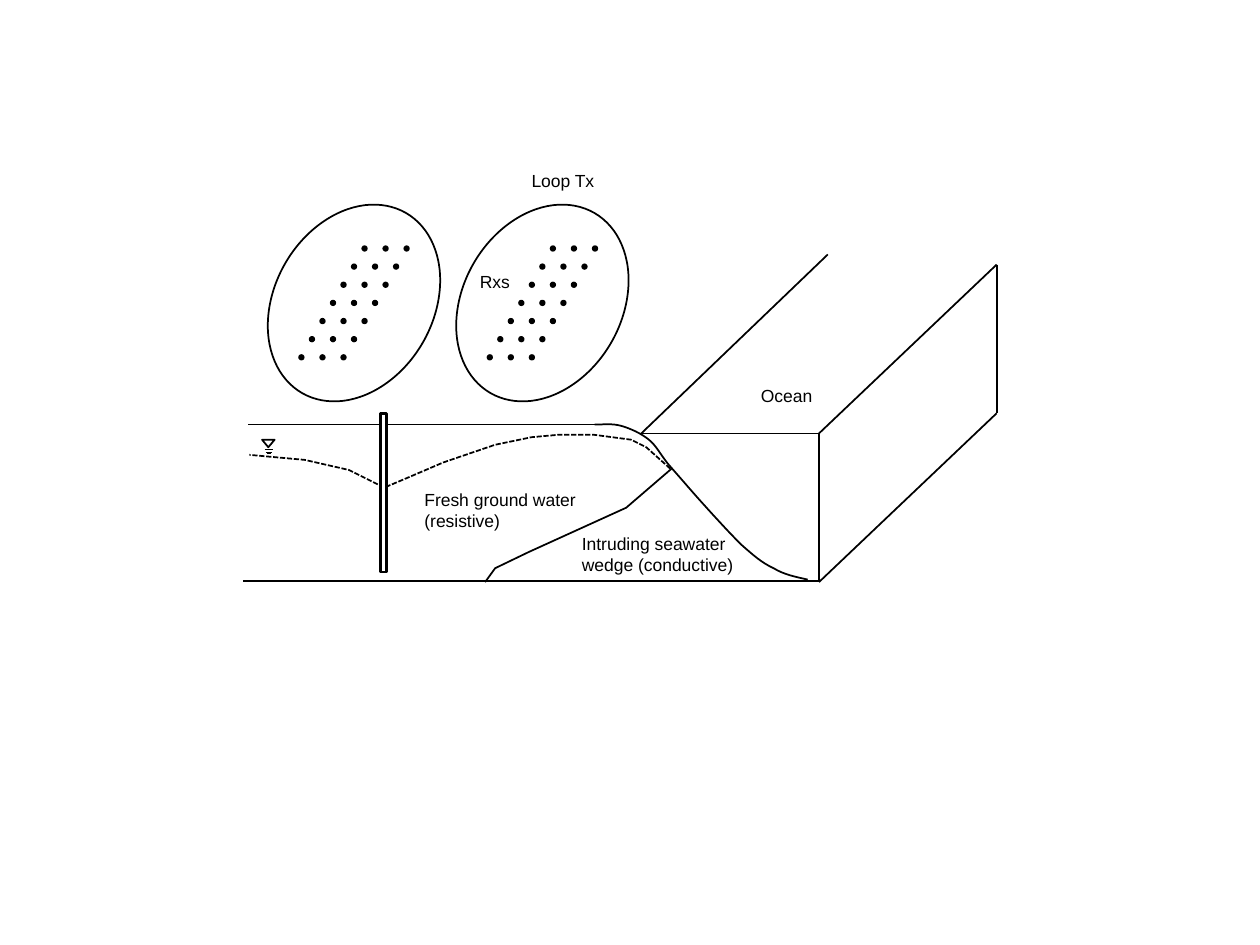
from dataclasses import dataclass

from lxml.etree import SubElement
from pptx import Presentation
from pptx.dml.color import RGBColor
from pptx.enum.dml import MSO_LINE_DASH_STYLE as Dash
from pptx.enum.shapes import MSO_CONNECTOR as Connector, MSO_SHAPE as Preset
from pptx.enum.text import MSO_AUTO_SIZE as AutoSize, PP_ALIGN as Align
from pptx.oxml.ns import qn
from pptx.util import Inches, Pt

BLACK = RGBColor(0, 0, 0)
WHITE = RGBColor(255, 255, 255)
COLUMNS, ROWS = 100, 75
CELL = Inches(0.1)

Point = tuple[float, float]


@dataclass(frozen=True)
class Edge:
    start: Point
    end: Point
    weight: float = 1


@dataclass(frozen=True)
class Outline:
    preset: Preset
    left: float
    top: float
    width: float
    height: float
    rotation: float = 0
    fill: RGBColor | None = None
    weight: float = 1


@dataclass(frozen=True)
class Label:
    left: float
    top: float
    width: float
    height: float
    lines: tuple[str, ...]


OCEAN_EDGES = (
    Edge((65, 34.4), (79.1, 21)),
    Edge((65, 46.2), (79.1, 32.8)),
    Edge((65, 34.4), (50.8, 34.4)),
    Edge((65, 46.1), (19.3, 46.1)),
    Edge((50.9, 34.4), (65.7, 20.2)),
    Edge((65, 34.4), (65, 46.1)),
    Edge((79.1, 21), (79.1, 32.8)),
)
LAND_SURFACE = Edge((47.2, 33.7), (19.7, 33.7))
WATER_TABLE_TICKS = (
    Edge((21, 35.7), (21.7, 35.7), 0.75),
    Edge((21.1, 35.9), (21.6, 35.9), 0.75),
    Edge((21.2, 36), (21.5, 36), 0.75),
)
WATER_TABLE_MARK = Outline(Preset.FLOWCHART_MERGE, 20.8, 34.9, 1, 0.6)
WELL = Outline(Preset.RECTANGLE, 30.2, 32.8, 0.5, 12.6, fill=WHITE, weight=1.5)

SEABED_START = (64.1, 46)
SEABED_BENDS = (
    ((63.2, 45.8), (62.2, 45.6), (61.4, 45.1)),
    ((60.5, 44.7), (59.7, 44), (58.8, 43.2)),
    ((57.9, 42.3), (56.8, 41.1), (55.9, 40.1)),
    ((54.9, 39), (53.8, 37.7), (53, 36.8)),
    ((52.3, 35.9), (52.1, 35.4), (51.5, 34.9)),
    ((50.9, 34.4), (50, 34), (49.3, 33.8)),
    ((48.6, 33.6), (47.9, 33.7), (47.2, 33.7)),
)
WEDGE_FRONT = [(53.3, 37.2), (49.7, 40.3), (42, 43.8), (39.3, 45.1), (38.5, 46.2)]
WATER_TABLE = [
    (53.2, 37.2), (51.3, 35.5), (50.1, 34.9), (47.1, 34.5), (44.4, 34.5),
    (42.2, 34.7), (39.3, 35.3), (35.2, 36.7), (32.4, 37.9), (30.5, 38.7),
    (27.7, 37.3), (24.2, 36.5), (19.8, 36.1),
]

LOOP_LEFTS = (21.8, 36.75)
LOOP_TOP, LOOP_WIDTH, LOOP_HEIGHT = 15.8, 12.6, 16.5
RECEIVER_COLUMNS, RECEIVER_ROWS = 3, 7
RECEIVER_INSET, RECEIVER_TOP, RECEIVER_SIZE = 6.88, 19.47, 0.5
RECEIVER_STEP, RECEIVER_DROP = 1.67, 1.44

LABELS = (
    Label(45.2, 41.8, 17.4, 4.4, ("Intruding seawater", "wedge (conductive)")),
    Label(59.4, 30.1, 7.1, 2.7, ("Ocean",)),
    Label(41.2, 13, 7.1, 2.7, ("Loop Tx",)),
    Label(37.1, 21, 5.5, 2.7, ("Rxs",)),
    Label(32.7, 38.3, 17.4, 4.4, ("Fresh ground water", "(resistive)")),
)


def grid(*cells: float) -> list[int]:
    return [round(cell * CELL) for cell in cells]


def style_line(line, weight: float) -> None:
    line.color.rgb = BLACK
    line.width = Pt(weight)


def draw_edge(shapes, edge: Edge) -> None:
    connector = shapes.add_connector(Connector.STRAIGHT, *grid(*edge.start, *edge.end))
    style_line(connector.line, edge.weight)
    SubElement(connector._element.spPr, qn("a:effectLst"))


def draw_outline(shapes, outline: Outline) -> None:
    shape = shapes.add_shape(
        outline.preset, *grid(outline.left, outline.top, outline.width, outline.height)
    )
    shape.rotation = outline.rotation
    shape.shadow.inherit = False
    if outline.fill is None:
        shape.fill.background()
    else:
        shape.fill.solid()
        shape.fill.fore_color.rgb = outline.fill
    if outline.weight:
        style_line(shape.line, outline.weight)
    else:
        shape.line.fill.background()


def draw_profile(shapes, points: list[Point], dash: Dash | None = None) -> None:
    start, *rest = [tuple(grid(*point)) for point in points]
    builder = shapes.build_freeform(*start)
    builder.add_line_segments(rest, close=False)
    profile = builder.convert_to_shape()
    profile.shadow.inherit = False
    profile.fill.background()
    style_line(profile.line, 1)
    if dash is not None:
        profile.line.dash_style = dash


def bezier_points(start: Point, bends, steps: int = 8) -> list[Point]:
    points = [start]
    for bend in bends:
        controls = (points[-1], *bend)
        for step in range(1, steps + 1):
            t = step / steps
            weights = ((1 - t) ** 3, 3 * t * (1 - t) ** 2, 3 * t**2 * (1 - t), t**3)
            points.append(tuple(
                sum(w * control[axis] for w, control in zip(weights, controls))
                for axis in (0, 1)
            ))
    return points


def draw_loop(shapes, left: float) -> None:
    draw_outline(shapes, Outline(
        Preset.OVAL, left, LOOP_TOP, LOOP_WIDTH, LOOP_HEIGHT, rotation=30
    ))
    for column in range(RECEIVER_COLUMNS):
        for row in range(RECEIVER_ROWS):
            draw_outline(shapes, Outline(
                Preset.OVAL,
                left + RECEIVER_INSET + (column - row / 2) * RECEIVER_STEP,
                RECEIVER_TOP + row * RECEIVER_DROP,
                RECEIVER_SIZE, RECEIVER_SIZE,
                rotation=120, fill=BLACK, weight=0,
            ))


def draw_label(shapes, label: Label) -> None:
    box = shapes.add_textbox(*grid(label.left, label.top, label.width, label.height))
    frame = box.text_frame
    frame.word_wrap = True
    frame.auto_size = AutoSize.SHAPE_TO_FIT_TEXT
    for index, line in enumerate(label.lines):
        paragraph = frame.add_paragraph() if index else frame.paragraphs[0]
        paragraph.alignment = Align.LEFT
        run = paragraph.add_run()
        run.text = line
        run.font.name = "Arial"
        run.font.size = Pt(10)
        run.font.color.rgb = BLACK


def main() -> None:
    deck = Presentation()
    deck.slide_width, deck.slide_height = grid(COLUMNS, ROWS)
    shapes = deck.slides.add_slide(deck.slide_layouts[6]).shapes
    for edge in (*OCEAN_EDGES, LAND_SURFACE):
        draw_edge(shapes, edge)
    draw_profile(shapes, bezier_points(SEABED_START, SEABED_BENDS))
    draw_profile(shapes, WEDGE_FRONT)
    for left in LOOP_LEFTS:
        draw_loop(shapes, left)
    draw_profile(shapes, WATER_TABLE, Dash.SQUARE_DOT)
    for outline in (WELL, WATER_TABLE_MARK):
        draw_outline(shapes, outline)
    for tick in WATER_TABLE_TICKS:
        draw_edge(shapes, tick)
    for label in LABELS:
        draw_label(shapes, label)
    deck.save("out.pptx")


if __name__ == "__main__":
    main()
